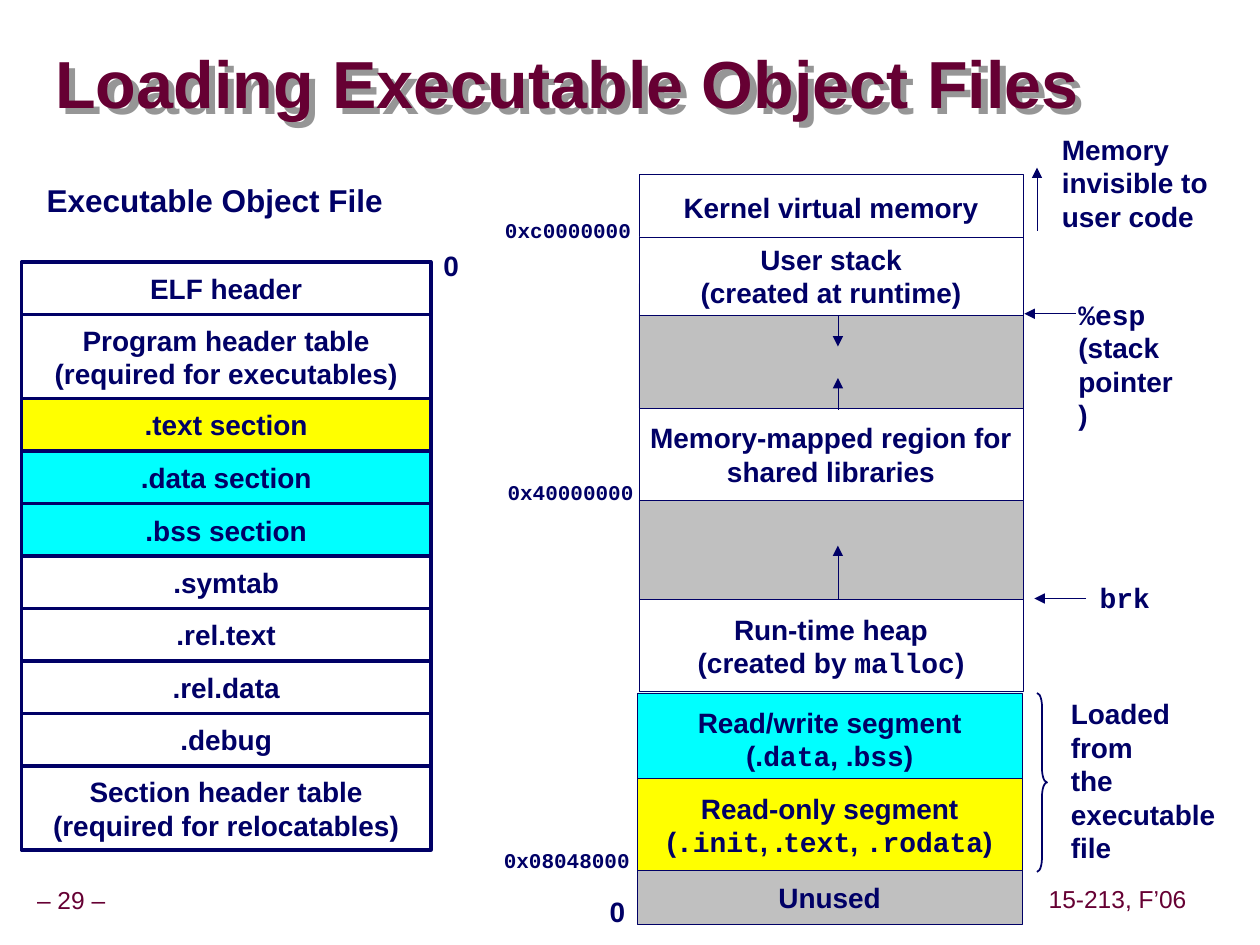
from dataclasses import dataclass

from lxml.etree import SubElement
from pptx import Presentation
from pptx.dml.color import RGBColor
from pptx.enum.shapes import MSO_CONNECTOR as Connector, MSO_SHAPE as Preset
from pptx.enum.text import MSO_ANCHOR as Anchor, MSO_AUTO_SIZE as AutoSize, PP_ALIGN as Align
from pptx.oxml.ns import qn
from pptx.util import Inches, Pt

COLORS = {
    "navy": "000066", "maroon": "660033", "white": "FFFFFF", "yellow": "FFFF00",
    "cyan": "00FFFF", "gray": "C0C0C0", "shadow": "969696",
}
SANS, MONO = "Arial", "Courier New"


@dataclass
class Block:
    left: float
    top: float
    height: float
    text: str = ""
    fill: str = "white"
    width: float = 3.05
    border: float = 0.25


@dataclass
class Label:
    left: float
    top: float
    width: float
    height: float
    text: str
    size: float = 16
    color: str = "navy"
    bold: bool = True
    align: Align = Align.LEFT
    anchor: Anchor = Anchor.TOP
    inset_x: float = 0.1
    inset_y: float = 0.05
    spacing: float = 1.0
    wrap: bool = False


@dataclass
class Arrow:
    start: tuple[float, float]
    end: tuple[float, float]


def rgb(name: str) -> RGBColor:
    return RGBColor.from_string(COLORS[name])


def write_text(frame, text: str, size: float = 16, color: str = "navy", bold: bool = True,
               align: Align = Align.CENTER, spacing: float = 1.0) -> None:
    """Write one paragraph per line; words between backticks are monospaced."""
    for index, line in enumerate(text.split("\n")):
        para = frame.add_paragraph() if index else frame.paragraphs[0]
        para.alignment, para.line_spacing = align, spacing
        for part, words in enumerate(line.split("`")):
            if not words:
                continue
            span = para.add_run()
            span.text = words
            font_format = {"name": MONO if part % 2 else SANS, "size": Pt(size), "bold": bold}
            for key, value in font_format.items():
                setattr(span.font, key, value)
            span.font.color.rgb = rgb(color)


def set_frame(frame, **frame_format) -> None:
    for key, value in frame_format.items():
        setattr(frame, key, value)


def draw_block(page, block: Block) -> None:
    box = page.shapes.add_shape(Preset.RECTANGLE, Inches(block.left), Inches(block.top),
                                Inches(block.width), Inches(block.height))
    box.shadow.inherit = False
    box.fill.solid()
    box.fill.fore_color.rgb = rgb(block.fill)
    box.line.color.rgb = rgb("navy")
    box.line.width = Pt(block.border)
    if block.text:
        set_frame(box.text_frame, word_wrap=False, vertical_anchor=Anchor.MIDDLE)
        write_text(box.text_frame, block.text)


def draw_label(page, label: Label):
    box = page.shapes.add_textbox(Inches(label.left), Inches(label.top),
                                  Inches(label.width), Inches(label.height))
    inset_x, inset_y = Inches(label.inset_x), Inches(label.inset_y)
    set_frame(box.text_frame, word_wrap=label.wrap, vertical_anchor=label.anchor,
              auto_size=AutoSize.NONE if label.wrap else AutoSize.SHAPE_TO_FIT_TEXT,
              margin_left=inset_x, margin_right=inset_x,
              margin_top=inset_y, margin_bottom=inset_y)
    write_text(box.text_frame, label.text, label.size, label.color, label.bold,
               label.align, label.spacing)
    return box


def draw_arrow(page, arrow: Arrow) -> None:
    points = [Inches(value) for value in (*arrow.start, *arrow.end)]
    line = page.shapes.add_connector(Connector.STRAIGHT, *points)
    line.line.color.rgb = rgb("navy")
    line.line.width = Pt(0.25)
    SubElement(line.line._get_or_add_ln(), qn("a:tailEnd"), type="triangle")
    SubElement(line._element.spPr, qn("a:effectLst"))


def draw_brace(page) -> None:
    width, height, curve = 0.08, 1.42, 0.11
    brace = page.shapes.add_shape(Preset.RIGHT_BRACE, Inches(8.23), Inches(5.5),
                                  Inches(width), Inches(height))
    brace.adjustments[0] = curve / width
    brace.shadow.inherit = False
    brace.fill.background()
    brace.line.color.rgb = rgb("navy")
    brace.line.width = Pt(1)


def add_drop_shadow(box) -> None:
    effects = SubElement(box._element.spPr, qn("a:effectLst"))
    shadow = SubElement(effects, qn("a:outerShdw"), dist=str(Inches(0.07)), dir="2700000",
                        algn="ctr", rotWithShape="0")
    SubElement(shadow, qn("a:srgbClr"), val=COLORS["shadow"])


def draw_object_file(page) -> None:
    """Stack the file's sections; each is taller when its text has two lines."""
    sections = [
        ("ELF header", "white"),
        ("Program header table\n(required for executables)", "white"),
        (".text section", "yellow"),
        (".data section", "cyan"),
        (".bss section", "cyan"),
        (".symtab", "white"),
        (".rel.text", "white"),
        (".rel.data", "white"),
        (".debug", "white"),
        ("Section header table\n(required for relocatables)", "white"),
    ]
    top = 2.08
    for text, fill in sections:
        height = 8 / 12 if "\n" in text else 5 / 12
        draw_block(page, Block(0.17, top, height, text, fill, width=3.25, border=2))
        top += height


MEMORY = [
    Block(5.07, 1.38, 0.53, "Kernel virtual memory"),
    Block(5.07, 3.24, 0.73, "Memory-mapped region for\nshared libraries"),
    Block(5.07, 3.97, 0.79, fill="gray"),
    Block(5.07, 4.76, 0.73, "Run-time heap\n(created by `malloc`)"),
    Block(5.07, 2.25, 0.99, fill="gray"),
    Block(5.07, 1.88, 0.62, "User stack\n(created at runtime)"),
    Block(5.06, 6.91, 0.43, "Unused", "gray"),
    Block(5.06, 5.5, 0.73, "Read/write segment\n(.`data`, .`bss`)", "cyan"),
    Block(5.06, 6.18, 0.73, "Read-only segment\n(`.init`, .`text`, `.rodata`)", "yellow"),
]
ARROWS = [
    Arrow((6.65, 4.75), (6.65, 4.33)),
    Arrow((6.65, 3.25), (6.65, 3)),
    Arrow((6.65, 2.5), (6.65, 2.75)),
    Arrow((8.54, 2.49), (8.13, 2.49)),
    Arrow((8.23, 1.83), (8.23, 1.33)),
    Arrow((8.62, 4.75), (8.21, 4.75)),
]
FOOTER = {"size": 14, "color": "maroon", "bold": False, "align": Align.CENTER,
          "anchor": Anchor.MIDDLE, "inset_x": 0.05, "spacing": 0.9}
LABELS = [
    Label(-0.09, 7, 1.31, 0.31, "– 29 –", **FOOTER),
    Label(8.27, 6.99, 1.2, 0.31, "15-213, F’06", **FOOTER),
    Label(0.27, 1.39, 2.87, 0.4, "Executable Object File", size=18, align=Align.CENTER),
    Label(3.42, 1.92, 0.32, 0.37, "0"),
    Label(4.74, 7.05, 0.32, 0.37, "0"),
    Label(3.91, 1.68, 1.2, 0.3, "`0xc0000000`", size=12),
    Label(3.93, 3.76, 1.2, 0.3, "`0x40000000`", size=12),
    Label(3.9, 6.68, 1.2, 0.3, "`0x08048000`", size=12),
    Label(8.33, 1, 1.36, 0.9, "Memory\ninvisible to\nuser code"),
    Label(8.46, 2.31, 1.02, 0.9, "`%esp`\n(stack\npointer)"),
    Label(8.63, 4.56, 0.6, 0.37, "`brk`"),
    Label(8.4, 5.48, 1.41, 1.44, "Loaded\nfrom\nthe\nexecutable\nfile"),
]
TITLE = Label(0.44, 0.27, 9.53, 0.85, "Loading Executable Object Files", size=38,
              color="maroon", anchor=Anchor.MIDDLE, inset_x=0, inset_y=0,
              spacing=0.87, wrap=True)


def main() -> None:
    deck = Presentation()
    deck.slide_width, deck.slide_height = Inches(10), Inches(7.5)
    page = deck.slides.add_slide(deck.slide_layouts[6])
    add_drop_shadow(draw_label(page, TITLE))
    draw_object_file(page)
    for block in MEMORY:
        draw_block(page, block)
    for arrow in ARROWS:
        draw_arrow(page, arrow)
    draw_brace(page)
    for label in LABELS:
        draw_label(page, label)
    deck.save("out.pptx")


if __name__ == "__main__":
    main()
